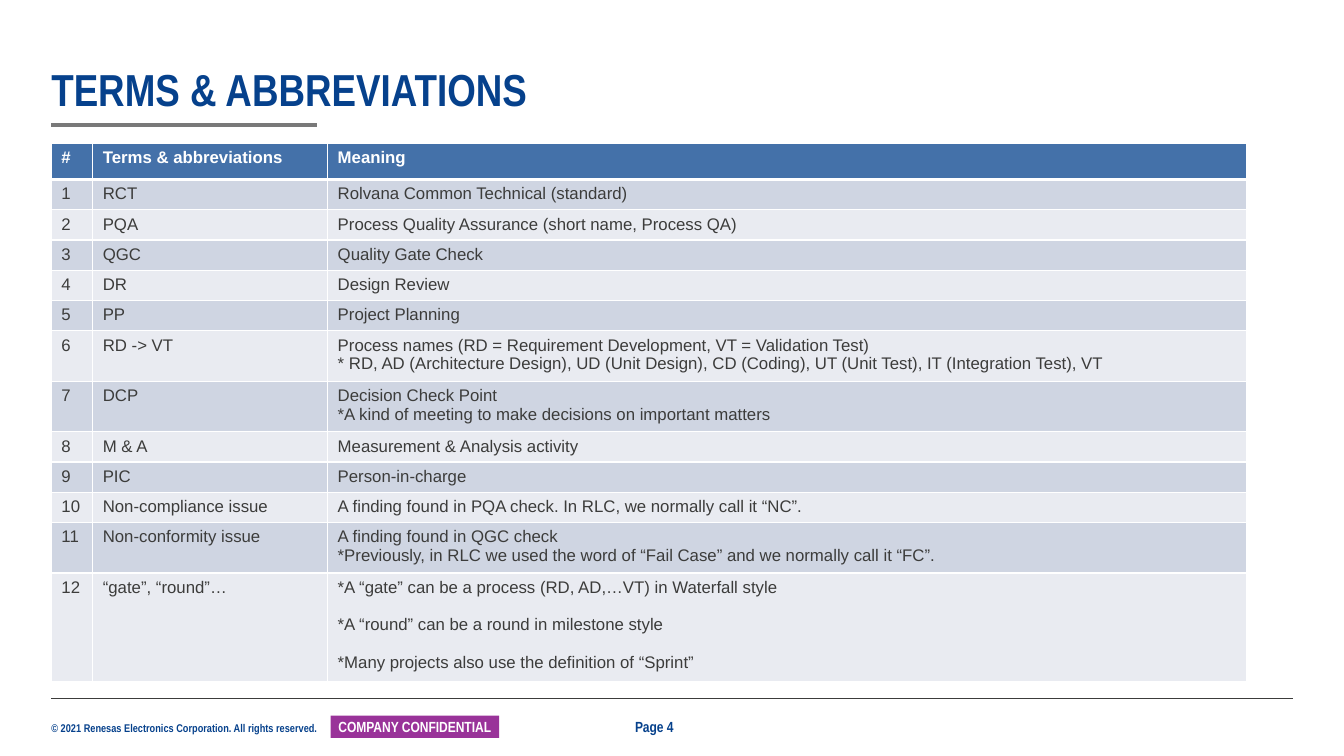
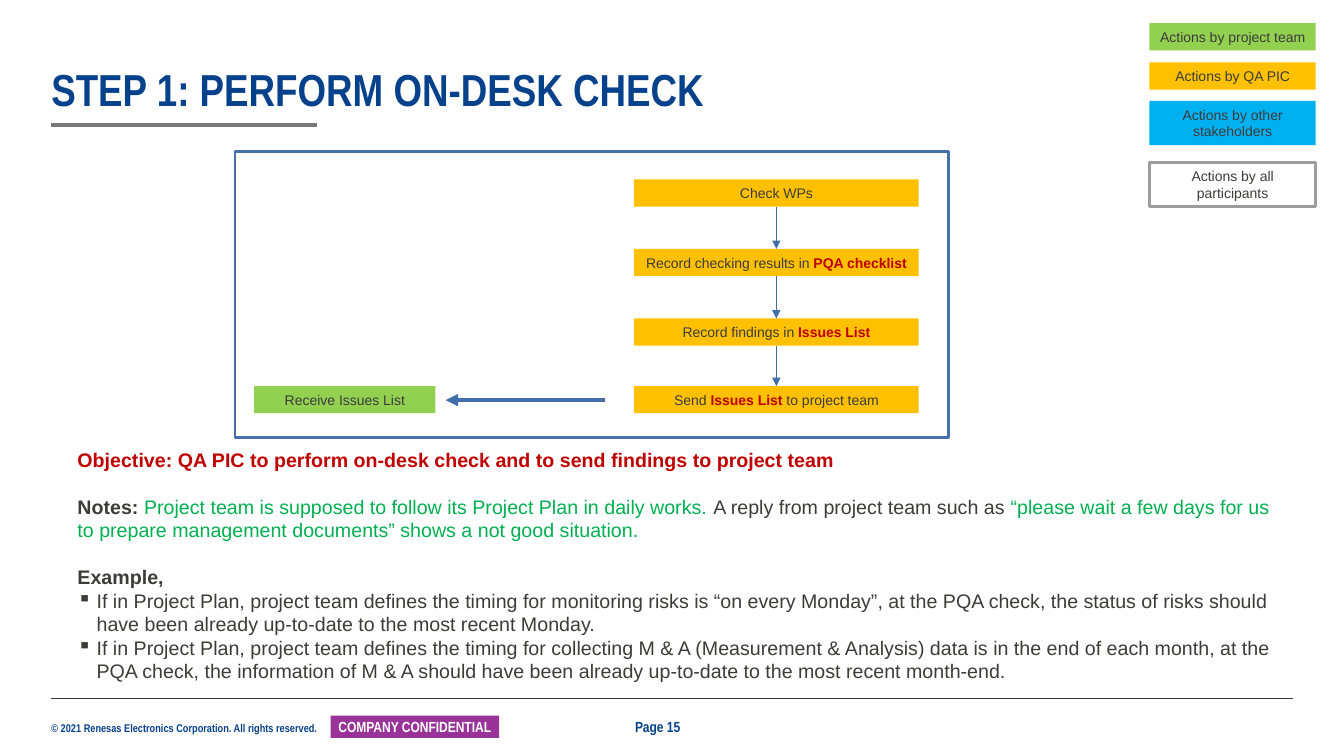
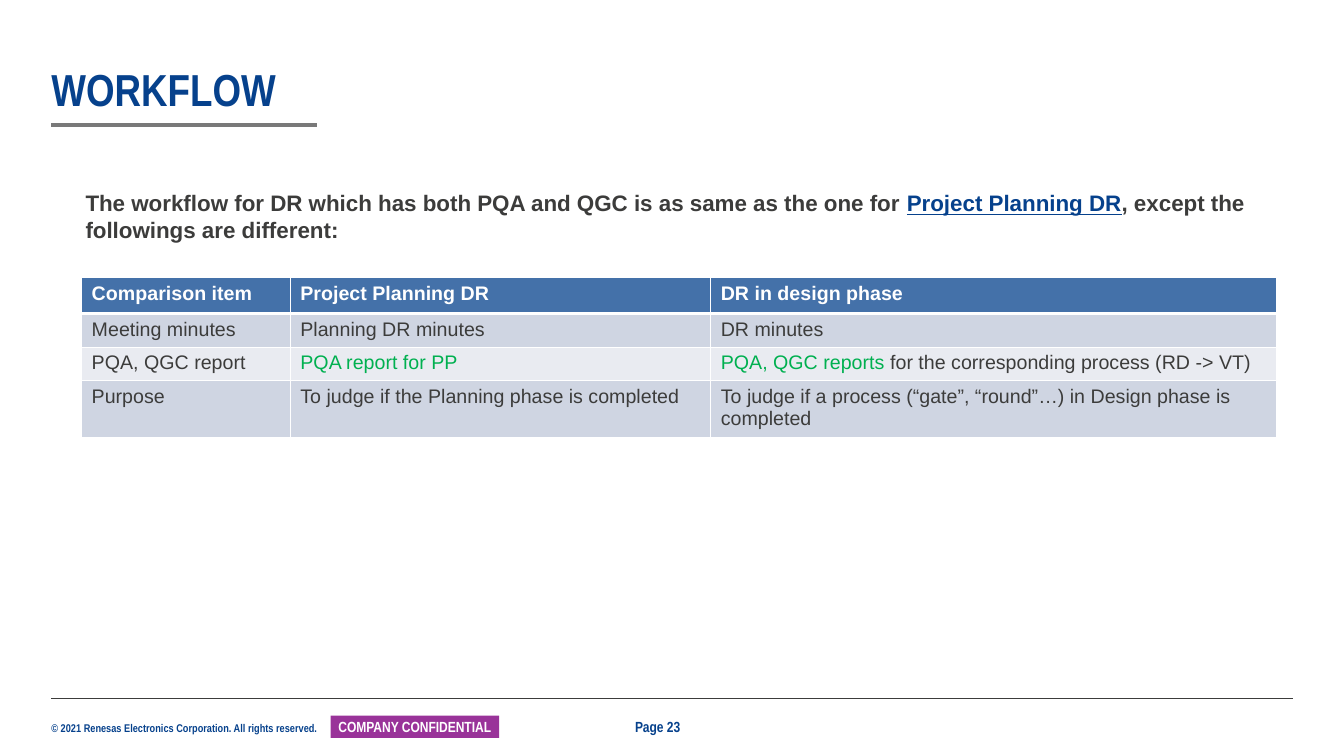
from itertools import pairwise

from lxml.etree import SubElement
from pptx import Presentation
from pptx.dml.color import RGBColor
from pptx.enum.shapes import MSO_CONNECTOR, MSO_SHAPE
from pptx.enum.text import MSO_ANCHOR, PP_ALIGN
from pptx.oxml.ns import qn
from pptx.util import Inches, Pt

HUES = {
    "navy": "06418C", "ink": "3C3C3B", "gray": "797979", "silver": "9D9D9D",
    "purple": "993399", "white": "FFFFFF", "head": "4471A9", "arrow": "406EA8",
    "odd": "CFD5E2", "even": "E9EBF1", "lime": "92D050", "amber": "FFC000",
    "sky": "00B0F0", "red": "C00000", "green": "00B050",
}
SANS, SLIM = "Arial", "Arial Narrow"


def tint(name):
    return RGBColor.from_string(HUES[name])


def style(font, hue=None, bold=None, line=None):
    if hue:
        font.color.rgb = tint(hue)
    if bold is not None:
        font.bold = bold
    if line:
        font.underline = True


def bullet(para):
    props = para._p.get_or_add_pPr()
    props.set("marL", str(Inches(0.19)))
    props.set("indent", str(Inches(-0.19)))
    SubElement(props, qn("a:buChar"), char="▪")


def border(cell, low):
    """Draw white cell borders; low is the width of the bottom one."""
    props = cell._tc.get_or_add_tcPr()
    for spot, (side, width) in enumerate(
            (("lnL", 1), ("lnR", 1), ("lnT", 1), ("lnB", low))):
        edge = SubElement(props, qn(f"a:{side}"), w=str(Pt(width)))
        fill = SubElement(edge, qn("a:solidFill"))
        SubElement(fill, qn("a:srgbClr"), val=HUES["white"])
        props.insert(spot, edge)


class Deck:
    def __init__(self):
        self.show = Presentation()
        self.show.slide_width = Inches(13.33)
        self.show.slide_height = Inches(7.5)

    def page(self, title, number):
        """Start a slide with its title, rules and footer."""
        self.slide = self.show.slides.add_slide(self.show.slide_layouts[6])
        self.text((0.51, 7.16, 2.73, 0.13),
                  ["© 2021 Renesas Electronics Corporation. All rights reserved."],
                  8, SLIM, "navy", True, pad=0, wrap=False)
        self.line((0.51, 6.93), (12.82, 6.93), "ink", 0.5)
        self.box((3.28, 7.1, 1.67, 0.22), "COMPANY CONFIDENTIAL", "purple",
                 size=10.5, face=SLIM, hue="white", bold=True, pad=0.04)
        self.line((0.51, 1.24), (3.14, 1.24), "gray", 3)
        self.text((6.2, 7.07, 0.67, 0.28), [f"Page {number}"],
                  10.5, SLIM, "navy", True, wrap=False)
        frame = self.text((0.51, 0.65, 12.3, 0.5), [title], 32, SLIM,
                          "navy", True, pad=0)
        frame.vertical_anchor = MSO_ANCHOR.BOTTOM
        frame.paragraphs[0].line_spacing = 0.9

    def put(self, frame, paras, size, face=SANS, hue="ink", bold=False,
            gap=0, align=None):
        """Fill a frame; a paragraph is a string or a list of runs.

        A run is a string or (text, hue, bold, underline). Paragraphs that
        start with "▪" are bulleted, those that start with "¶" get the gap.
        """
        for i, runs in enumerate(paras):
            para = frame.paragraphs[0] if i == 0 else frame.add_paragraph()
            runs = [runs] if isinstance(runs, str) else list(runs)
            mark = runs[0][0] if isinstance(runs[0], str) else ""
            if mark in ("▪", "¶"):
                runs[0] = runs[0][1:]
            if mark == "¶":
                para.space_before = Pt(gap)
            if mark == "▪":
                bullet(para)
            if align:
                para.alignment = align
            para.font.size = Pt(size)
            para.font.name = face
            style(para.font, hue, bold)
            for item in filter(None, runs):
                words, *look = [item] if isinstance(item, str) else item
                run = para.add_run()
                run.text = words
                style(run.font, *look)

    def text(self, area, paras, size, face=SANS, hue="ink", bold=False,
             pad=None, wrap=True, gap=0):
        frame = self.slide.shapes.add_textbox(*map(Inches, area)).text_frame
        frame.word_wrap = wrap
        if pad is not None:
            frame.margin_left = frame.margin_right = Inches(pad)
            frame.margin_top = frame.margin_bottom = Inches(pad)
        self.put(frame, paras, size, face, hue, bold, gap)
        return frame

    def box(self, area, runs=None, fill=None, edge=None, width=1, size=10,
            face=SANS, hue="ink", bold=False, pad=0.1, wrap=True):
        shape = self.slide.shapes.add_shape(MSO_SHAPE.RECTANGLE,
                                            *map(Inches, area))
        shape.shadow.inherit = False
        if fill:
            shape.fill.solid()
            shape.fill.fore_color.rgb = tint(fill)
        else:
            shape.fill.background()
        if edge:
            shape.line.color.rgb = tint(edge)
            shape.line.width = Pt(width)
        else:
            shape.line.fill.background()
        if runs:
            frame = shape.text_frame
            frame.word_wrap = wrap
            frame.margin_left = frame.margin_right = Inches(pad)
            frame.margin_top = frame.margin_bottom = 0
            self.put(frame, [runs], size, face, hue, bold,
                     align=PP_ALIGN.CENTER)

    def line(self, start, end, hue, width, arrow=False):
        link = self.slide.shapes.add_connector(
            MSO_CONNECTOR.STRAIGHT, *map(Inches, (*start, *end)))
        link.line.color.rgb = tint(hue)
        link.line.width = Pt(width)
        if arrow:
            SubElement(link.line._get_or_add_ln(), qn("a:tailEnd"),
                       type="triangle")
        SubElement(link._element.spPr, qn("a:effectLst"))

    def table(self, spot, cols, highs, rows, size, gap=0):
        """Add a banded table; a cell is a string or a list of paragraphs."""
        area = (*spot, sum(cols), sum(highs))
        grid = self.slide.shapes.add_table(len(rows), len(cols),
                                           *map(Inches, area)).table
        for col, width in zip(grid.columns, cols):
            col.width = Inches(width)
        for i, (row, high, cells) in enumerate(zip(grid.rows, highs, rows)):
            row.height = Inches(high)
            top = i == 0
            for cell, paras in zip(row.cells, cells):
                cell.fill.solid()
                cell.fill.fore_color.rgb = tint(
                    "head" if top else "odd" if i % 2 else "even")
                border(cell, 3 if top else 1)
                paras = [paras] if isinstance(paras, str) else paras
                self.put(cell.text_frame, paras, size,
                         hue="white" if top else "ink", bold=top, gap=gap)


def terms(deck):
    deck.page("TERMS & ABBREVIATIONS", 4)
    pairs = [
        ("RCT", "Rolvana Common Technical (standard)"),
        ("PQA", "Process Quality Assurance (short name, Process QA)"),
        ("QGC", "Quality Gate Check"),
        ("DR", "Design Review"),
        ("PP", "Project Planning"),
        ("RD -> VT", [
            "Process names (RD = Requirement Development, VT = Validation Test)",
            "* RD, AD (Architecture Design), UD (Unit Design), CD (Coding), "
            "UT (Unit Test), IT (Integration Test), VT"]),
        ("DCP", ["Decision Check Point",
                 "*A kind of meeting to make decisions on important matters"]),
        ("M & A", "Measurement & Analysis activity"),
        ("PIC", "Person-in-charge"),
        ("Non-compliance issue",
         "A finding found in PQA check. In RLC, we normally call it “NC”."),
        ("Non-conformity issue", [
            "A finding found in QGC check",
            "*Previously, in RLC we used the word of “Fail Case” and we "
            "normally call it “FC”."]),
        ("“gate”, “round”…", [
            "*A “gate” can be a process (RD, AD,…VT) in Waterfall style",
            "¶*A “round” can be a round in milestone style",
            "¶*Many projects also use the definition of “Sprint”"]),
    ]
    rows = [("#", "Terms & abbreviations", "Meaning")]
    rows += [(str(i), *pair) for i, pair in enumerate(pairs, 1)]
    tall = {1: 0.29, 2: 0.47, 3: 1.03}
    highs = [0.36] + [tall[1 if isinstance(note, str) else len(note)]
                      for _, note in pairs]
    deck.table((0.51, 1.42), (0.41, 2.33, 9.11), highs, rows, 12, gap=13.4)


def check(deck):
    deck.page("STEP 1: PERFORM ON-DESK CHECK", 15)
    legend = [
        (0.23, 0.27, "project team", "lime", None),
        (0.62, 0.27, "QA PIC", "amber", None),
        (1, 0.44, "other stakeholders", "sky", None),
        (1.61, 0.44, "all participants", None, "silver"),
    ]
    for top, high, who, fill, edge in legend:
        deck.box((11.4, top, 1.65, high), f"Actions by {who}", fill, edge,
                 2.25, wrap=who != "project team")

    high = 0.27
    steps = [
        (1.78, "Check WPs"),
        (2.47, ["Record checking results in ", ("PQA checklist", "red", True)]),
        (3.16, ["Record findings in ", ("Issues List", "red", True)]),
        (3.83, ["Send ", ("Issues List ", "red", True), "to project team"]),
    ]
    for top, runs in steps:
        deck.box((6.29, top, 2.82, high), runs, "amber", wrap=False)
    for (top, _), (below, _) in pairwise(steps):
        deck.line((7.7, top + high), (7.7, below), "arrow", 0.75, True)
    deck.box((2.52, 3.83, 1.8, high), "Receive Issues List", "lime")
    deck.line((6, 3.97), (4.42, 3.97), "arrow", 3, True)

    deck.text((0.67, 4.39, 12.14, 2.46), [
        [("Objective: QA PIC to perform on-desk check and to send findings "
          "to project team", "red", True)],
        ["¶", ("Notes: ", "ink", True),
         ("Project team is supposed to follow its Project Plan in daily "
          "works. ", "green"),
         "A reply from project team such as ",
         ("“please wait a few days for us to prepare management documents” "
          "shows a not good situation.", "green")],
        ["¶", ("Example,", "ink", True)],
        "▪If in Project Plan, project team defines the timing for monitoring "
        "risks is “on every Monday”, at the PQA check, the status of risks "
        "should have been already up-to-date to the most recent Monday.",
        "▪If in Project Plan, project team defines the timing for collecting "
        "M & A (Measurement & Analysis) data is in the end of each month, at "
        "the PQA check, the information of M & A should have been already "
        "up-to-date to the most recent month-end.",
    ], 14, gap=16.8)
    deck.box((2.33, 1.5, 7.08, 2.84), edge="head", width=2)


def flow(deck):
    deck.page("WORKFLOW", 23)
    deck.text((0.75, 1.83, 12, 0.64), [[
        "The workflow for DR which has both PQA and QGC is as same as the "
        "one for ", ("Project Planning DR", "navy", True, True),
        ", except the followings are different:"]], 16, bold=True)
    deck.table((0.81, 2.75), (2.07, 4.17, 5.61), (0.36, 0.33, 0.33, 0.56), [
        ("Comparison item", "Project Planning DR", "DR in design phase"),
        ("Meeting minutes", "Planning DR minutes", "DR minutes"),
        ("PQA, QGC report", [[("PQA report for PP", "green")]],
         [[("PQA, QGC reports", "green"),
           " for the corresponding process (RD -> VT)"]]),
        ("Purpose", "To judge if the Planning phase is completed",
         "To judge if a process (“gate”, “round”…) in Design phase is "
         "completed"),
    ], 14)


def main():
    deck = Deck()
    for build in (terms, check, flow):
        build(deck)
    deck.show.save("out.pptx")


if __name__ == "__main__":
    main()
